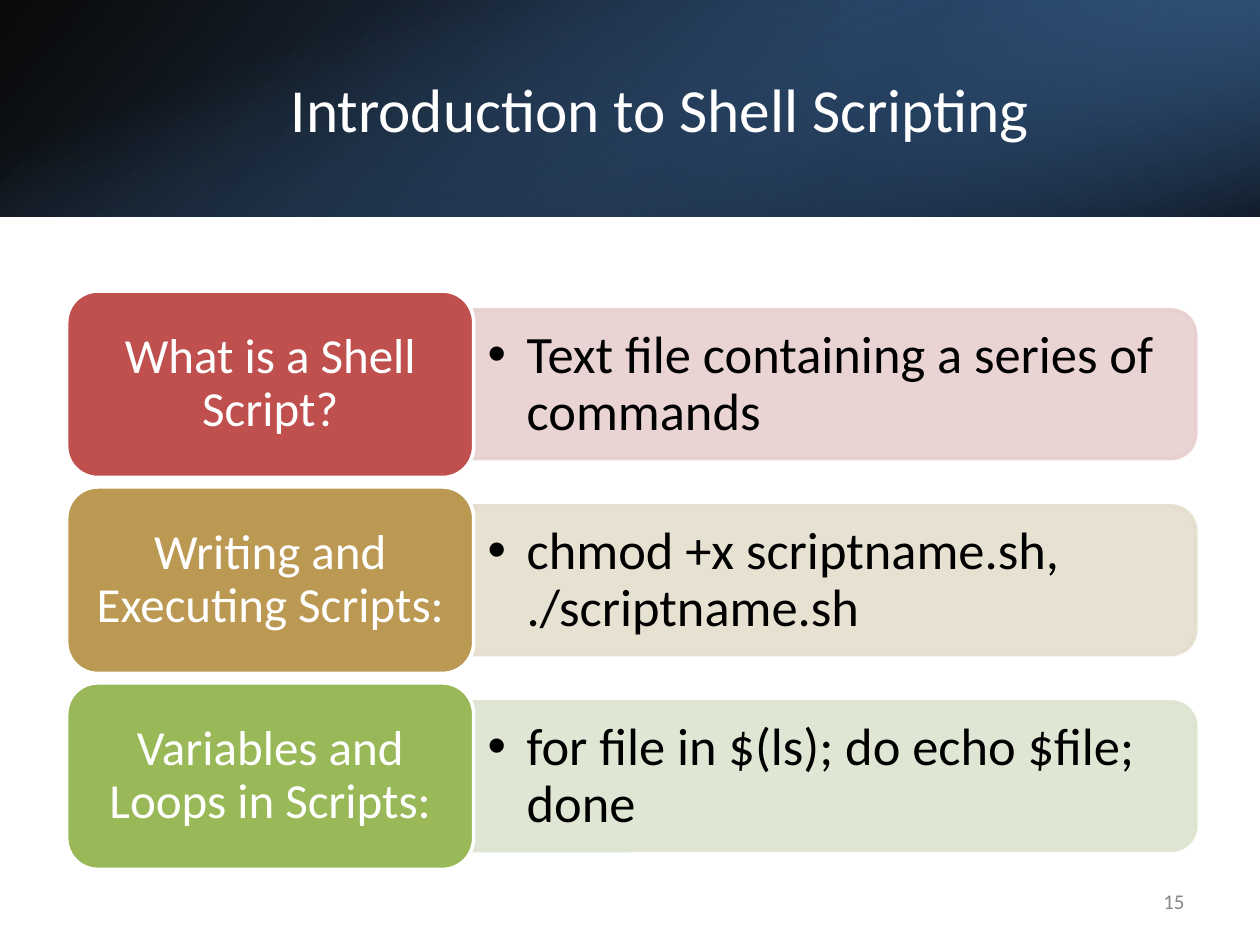
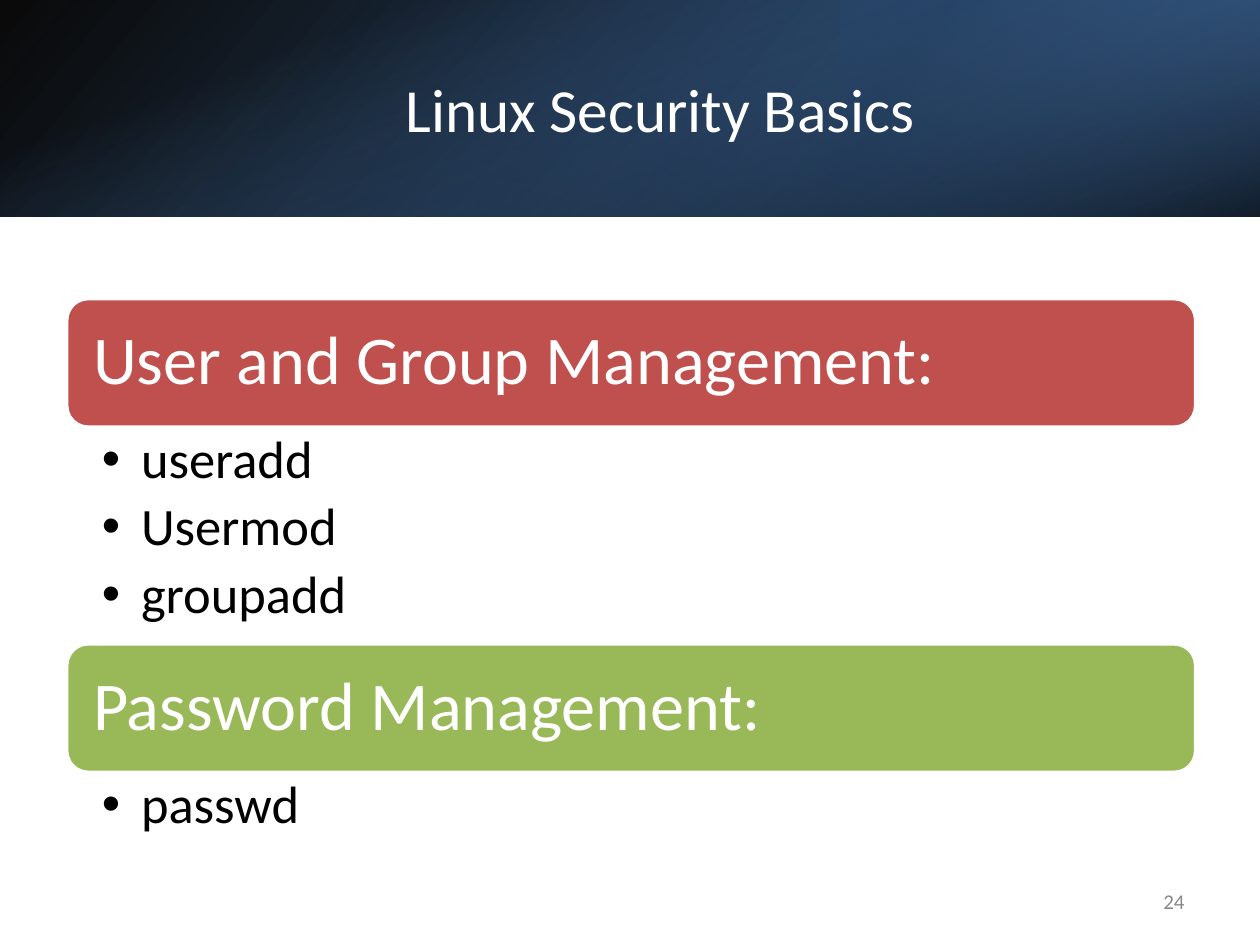
from lxml import etree
from pptx import Presentation
from pptx.dml.color import RGBColor
from pptx.enum.shapes import MSO_SHAPE
from pptx.enum.text import MSO_ANCHOR, MSO_AUTO_SIZE, PP_ALIGN
from pptx.oxml.ns import qn
from pptx.util import Inches, Pt

RECT = MSO_SHAPE.RECTANGLE
ROUND = MSO_SHAPE.ROUNDED_RECTANGLE
ROUND_TOP = MSO_SHAPE.ROUND_2_SAME_RECTANGLE
TOP, MIDDLE = MSO_ANCHOR.TOP, MSO_ANCHOR.MIDDLE
LEFT, CENTER, RIGHT = PP_ALIGN.LEFT, PP_ALIGN.CENTER, PP_ALIGN.RIGHT
NO_FIT = MSO_AUTO_SIZE.NONE

FONT = "Calibri"
COLORS = {
    "white": "FFFFFF", "black": "000000", "number": "888888",
    "blue": "4F81BD", "deep_blue": "366092", "navy": "244061",
    "red": "BF504D", "tan": "BB9952", "green": "99B958",
    "pale_red": "E7CFCF", "pale_tan": "E5DECE", "pale_green": "DCE4CF",
}
CORNER = 0.167
MARGIN = 0.53
BAND_H = 1.72
INDENT = 0.31


def rgb(name):
    return RGBColor.from_string(COLORS[name])


def set_alpha(fill_element, percent):
    """Make the colour of a solid fill partly transparent."""
    color = fill_element.find(".//" + qn("a:srgbClr"))
    etree.SubElement(color, qn("a:alpha"), val=str(percent * 1000))


def add_bullet(p):
    pPr = p._p.get_or_add_pPr()
    pPr.set("marL", str(Inches(INDENT)))
    pPr.set("indent", str(-Inches(INDENT)))
    etree.SubElement(pPr, qn("a:buFont"), typeface="Arial")
    etree.SubElement(pPr, qn("a:buChar"), char="•")


def write(sp, lines, size, color="white", align=LEFT, anchor=MIDDLE,
          insets=(0.1, 0.05, 0.1, 0.05), bullets=False, spacing=None, before=0):
    """Fill a shape with one paragraph per line; insets are left, top, right, bottom."""
    tf = sp.text_frame
    tf.word_wrap = True
    tf.auto_size = NO_FIT
    tf.vertical_anchor = anchor
    tf.margin_left, tf.margin_top, tf.margin_right, tf.margin_bottom = map(Inches, insets)
    for i, line in enumerate(lines):
        p = tf.add_paragraph() if i else tf.paragraphs[0]
        if bullets:
            add_bullet(p)
        p.alignment = align
        if spacing:
            p.line_spacing = spacing
        if i and before:
            p.space_before = Pt(before)
        r = p.add_run()
        r.text = line
        r.font.size = Pt(size)
        r.font.name = FONT
        r.font.color.rgb = rgb(color)


def add_text(slide, x, y, w, h, lines, size, **fmt):
    box = slide.shapes.add_textbox(Inches(x), Inches(y), Inches(w), Inches(h))
    write(box, lines, size, **fmt)


def add_block(slide, kind, x, y, w, h, fill, line="white", rotation=0):
    sp = slide.shapes.add_shape(kind, Inches(x), Inches(y), Inches(w), Inches(h))
    sp.shadow.inherit = False
    sp.adjustments[0] = CORNER
    sp.rotation = rotation
    sp.fill.solid()
    sp.fill.fore_color.rgb = rgb(fill)
    sp.line.color.rgb = rgb(line)
    sp.line.width = Pt(2)
    return sp


def add_gradient(slide, x, y, w, h, stops, angle, rotation=0, flip=False):
    """Add a borderless rectangle; stops are (position, colour, opacity) in percent."""
    sp = slide.shapes.add_shape(RECT, Inches(x), Inches(y), Inches(w), Inches(h))
    sp.shadow.inherit = False
    sp.line.fill.background()
    sp.rotation = rotation
    spPr = sp._element.spPr
    if flip:
        spPr.find(qn("a:xfrm")).set("flipH", "1")
    grad = etree.Element(qn("a:gradFill"), rotWithShape="1")
    stop_list = etree.SubElement(grad, qn("a:gsLst"))
    for position, color, opacity in stops:
        stop = etree.SubElement(stop_list, qn("a:gs"), pos=str(position * 1000))
        clr = etree.SubElement(stop, qn("a:srgbClr"), val=COLORS[color])
        etree.SubElement(clr, qn("a:alpha"), val=str(opacity * 1000))
    etree.SubElement(grad, qn("a:lin"), ang=str(angle * 60000), scaled="0")
    spPr.find(qn("a:prstGeom")).addnext(grad)


def add_slide(prs, title, number):
    """Start a slide with the header band, title and slide number."""
    slide = prs.slides.add_slide(prs.slide_layouts.get_by_name("Title Only"))
    add_gradient(slide, 0, 0, 10, BAND_H,
                 [(0, "black", 96), (100, "deep_blue", 100)], 140, flip=True)
    add_gradient(slide, 6.67, 0, 3.33, BAND_H,
                 [(0, "navy", 68), (19, "navy", 68), (100, "blue", 79)],
                 320, rotation=180, flip=True)
    add_gradient(slide, 4.14, -4.14, BAND_H, 10,
                 [(0, "blue", 0), (23, "blue", 0), (99, "black", 74), (100, "black", 74)],
                 340, rotation=90)
    heading = slide.shapes.title
    heading.left, heading.top = Inches(1.12), Inches(0.38)
    heading.width, heading.height = Inches(8.24), Inches(0.96)
    write(heading, [title], 35, align=CENTER)
    slide.shapes._spTree.append(heading._element)  # bring above the band
    add_text(slide, 7.17, 6.95, 2.33, 0.4, [str(number)], 12,
             color="number", align=RIGHT)
    return slide


def add_topic_row(slide, y, label, detail, color, pale):
    """Add a label block with a pale detail panel to its right."""
    label_w, label_h, panel_w, panel_h = 3.23, 1.48, 5.74, 1.18
    panel_x = MARGIN + label_w - 0.01
    middle = y + label_h / 2
    panel = add_block(slide, ROUND_TOP, panel_x + (panel_w - panel_h) / 2,
                      middle - panel_w / 2, panel_h, panel_w, pale, pale, rotation=90)
    set_alpha(panel._element.spPr.find(qn("a:solidFill")), 90)
    set_alpha(panel._element.spPr.find(qn("a:ln")), 90)
    insets = (0.12, 0.06, 0.12, 0.06)
    add_text(slide, panel_x, middle - 0.53, 5.68, 1.07, [detail], 30,
             color="black", insets=insets, bullets=True, spacing=0.9)
    block = add_block(slide, ROUND, MARGIN, y, label_w, label_h, color)
    write(block, [label], 28, align=CENTER, insets=insets, spacing=0.9)


def add_section(slide, y, heading, commands, color, list_h):
    """Add a heading bar with a bulleted list below; return the y where it ends."""
    width, bar_h = 8.96, 1.02
    bar = add_block(slide, ROUND, MARGIN, y, width, bar_h, color)
    write(bar, [heading], 39, insets=(0.16,) * 4, spacing=0.9)
    add_text(slide, MARGIN, y + bar_h, width, list_h, commands, 30, color="black",
             anchor=TOP, insets=(0.28, 0.05, 0.3, 0.05), bullets=True,
             spacing=0.9, before=6)
    return y + bar_h + list_h


def main():
    prs = Presentation()
    prs.slide_width, prs.slide_height = Inches(10), Inches(7.5)

    scripting = add_slide(prs, "Introduction to Shell Scripting", 15)
    topics = [
        ("What is a Shell Script?", "Text file containing a series of commands",
         "red", "pale_red"),
        ("Writing and Executing Scripts:", "chmod +x scriptname.sh, ./scriptname.sh",
         "tan", "pale_tan"),
        ("Variables and Loops in Scripts:", "for file in $(ls); do echo $file; done",
         "green", "pale_green"),
    ]
    for i, topic in enumerate(topics):
        add_topic_row(scripting, 2.31 + 1.555 * i, *topic)

    security = add_slide(prs, "Linux Security Basics", 24)
    sections = [
        ("User and Group Management:", ["useradd", "Usermod", "groupadd"], "red", 1.72),
        ("Password Management:", ["passwd"], "green", 0.71),
    ]
    y = 2.37
    for section in sections:
        y = add_section(security, y, *section)

    prs.save("out.pptx")


if __name__ == "__main__":
    main()
